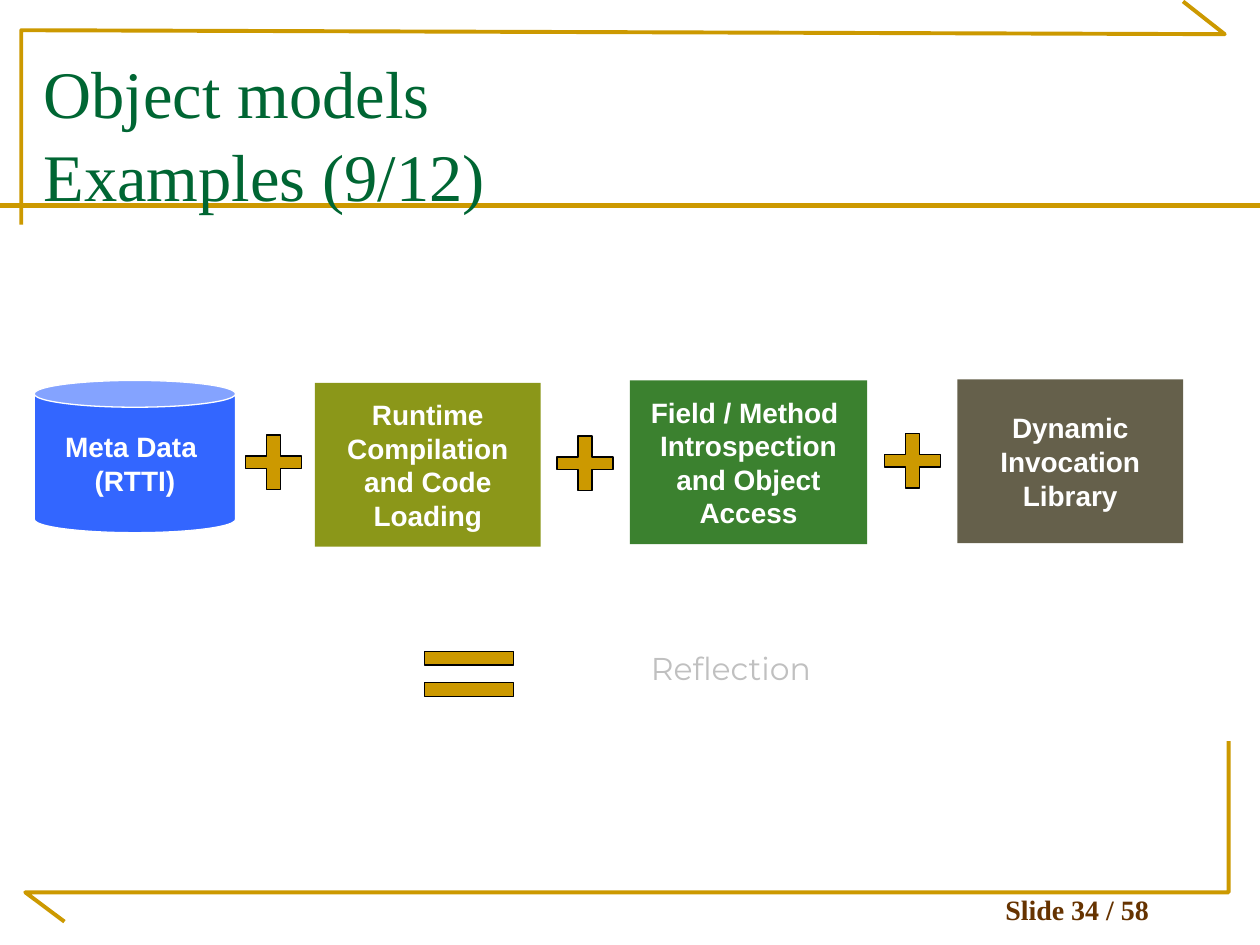
from pptx import Presentation
from pptx.dml.color import RGBColor
from pptx.enum.shapes import MSO_CONNECTOR, MSO_SHAPE as Shape
from pptx.enum.text import MSO_ANCHOR as Anchor, PP_ALIGN as Align
from pptx.oxml.ns import qn
from pptx.util import Cm, Pt
from lxml import etree

GOLD, GREEN, BROWN = "CC9900", "006633", "663300"
WHITE, BLACK, SILVER = "FFFFFF", "000000", "C0C0C0"
SERIF, SANS = "Times New Roman", "Arial"


def rgb(value):
    return RGBColor.from_string(value)


def set_line(line, color, width):
    line.color.rgb = rgb(color)
    line.width = Pt(width)


def set_text(tf, lines, font, size, color, bold=False, align=Align.CENTER,
             anchor=Anchor.MIDDLE):
    tf.word_wrap = True
    tf.vertical_anchor = anchor
    for i, line in enumerate(lines):
        p = tf.paragraphs[0] if i == 0 else tf.add_paragraph()
        p.text = line
        p.alignment = align
        p.font.name, p.font.size, p.font.bold = font, Pt(size), bold
        p.font.color.rgb = rgb(color)


def add_text(s, box, lines, *style, **layout):
    tf = s.shapes.add_textbox(*map(Cm, box)).text_frame
    set_text(tf, lines, *style, **layout)
    return tf


def add_block(s, kind, box, fill, outline=None, adj=None):
    sp = s.shapes.add_shape(kind, *map(Cm, box))
    sp.shadow.inherit = False
    sp.fill.solid()
    sp.fill.fore_color.rgb = rgb(fill)
    if outline:
        set_line(sp.line, outline, 0.75)
    else:
        sp.line.fill.background()
    if adj is not None:
        sp.adjustments[0] = adj
    return sp


def add_bracket(s, left, top, points):
    """Open gold outline; points are relative to the box corner."""
    pts = [(Cm(left + x), Cm(top + y)) for x, y in points]
    builder = s.shapes.build_freeform(*pts[0])
    builder.add_line_segments(pts[1:], close=False)
    sp = builder.convert_to_shape()
    sp.shadow.inherit = False
    sp.fill.background()
    set_line(sp.line, GOLD, 2.25)


def add_frame(s, width):
    # Corner brackets
    add_bracket(s, 0.43, 0.03, [(0, 4.5), (0, 0.58), (24.26, 0.66), (23.42, 0)])
    add_bracket(s, 0.51, 14.94,
                [(0.79, 3.64), (0, 3.05), (24.26, 3.05), (24.26, 0)])
    # Rule under the title
    rule = s.shapes.add_connector(MSO_CONNECTOR.STRAIGHT, 0, Cm(4.14), width, Cm(4.14))
    set_line(rule.line, GOLD, 3)
    etree.SubElement(rule._element.spPr, qn("a:effectLst"))
    # Slide number
    add_text(s, (18.72, 17.96, 5.99, 0.84), ["Slide 34 / 58"],
             SERIF, 16, BROWN, True, anchor=Anchor.BOTTOM)


def add_title(s, box):
    tf = add_text(s, box, ["Object models \vExamples (9/12)"], SERIF, 38, GREEN,
                  align=Align.LEFT, anchor=Anchor.TOP)
    tf.margin_top = Cm(0.2)
    tf.paragraphs[0].line_spacing = 1.05


def add_ingredients(s, left, top):
    # Building blocks: kind, x, y, width, height, fill, outline, adjustment, text
    blocks = [
        (Shape.CAN, 0, 0.02, 4.06, 3.07, "3366FF", WHITE, 0.176,
         ["Meta Data ", "(RTTI)"]),
        (Shape.RECTANGLE, 5.66, 0.07, 4.55, 3.3, "8B9719", None, None,
         ["Runtime", "Compilation and Code Loading"]),
        (Shape.RECTANGLE, 12.01, 0.02, 4.78, 3.3, "3B812F", None, None,
         ["Field / Method ", "Introspection and Object Access"]),
        (Shape.RECTANGLE, 18.61, 0, 4.55, 3.3, "65604B", None, None,
         ["Dynamic", "Invocation", "Library"]),
    ]
    for kind, x, y, w, h, fill, outline, adj, lines in blocks:
        sp = add_block(s, kind, (left + x, top + y, w, h), fill, outline, adj)
        set_text(sp.text_frame, lines, SANS, 16, WHITE, True)
    # Plus signs between the blocks
    for x, y in [(4.26, 1.12), (10.54, 1.14), (17.14, 1.09)]:
        add_block(s, Shape.CROSS, (left + x, top + y, 1.13, 1.1), GOLD, BLACK, 0.386)


def add_result(s, left, top):
    # Equals sign
    for y in (0.18, 0.81):
        add_block(s, Shape.RECTANGLE, (left, top + y, 1.8, 0.28), GOLD, BLACK)
    add_text(s, (left + 2.62, top, 7.11, 0.94), ["Reflection"],
             "Montserrat", 18, SILVER, anchor=Anchor.TOP)


def main():
    prs = Presentation()
    prs.slide_width, prs.slide_height = Cm(25.4), Cm(19.05)
    s = prs.slides.add_slide(prs.slide_layouts[6])
    add_frame(s, prs.slide_width)
    add_title(s, (0.63, 0.76, 23.93, 3.18))
    add_ingredients(s, 0.69, 7.65)
    add_result(s, 8.56, 12.95)
    prs.save("out.pptx")


if __name__ == "__main__":
    main()
